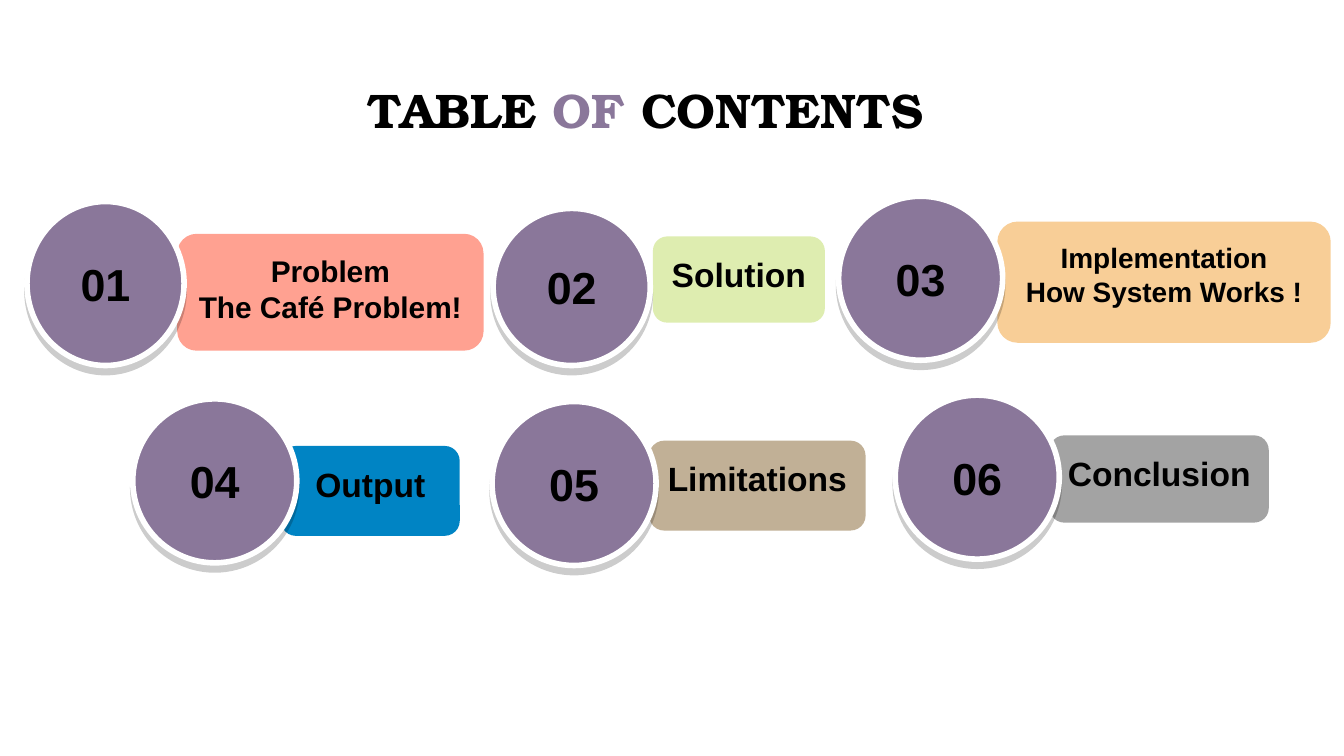
import lxml.etree
import pptx
import pptx.dml.color
import pptx.enum.shapes
import pptx.enum.text
import pptx.oxml.ns
import pptx.util

Cm, Pt = pptx.util.Cm, pptx.util.Pt
SHAPE = pptx.enum.shapes.MSO_SHAPE
ANCHOR = pptx.enum.text.MSO_ANCHOR
qn = pptx.oxml.ns.qn

BLACK, WHITE, PURPLE = "000000", "FFFFFF", "8A779A"
TITLE_FONT = {"name": "TeX Gyre Bonum", "size": Pt(26), "bold": True}
NUMBER_FONT = {"name": "Arial", "size": Pt(24), "bold": True}

# (left, top, width, height) of entry, disc width, label (offset, width, height),
# number, label lines, label size, label fill; lengths in cm
ENTRIES = [
    ((0.51, 3.81, 8.63, 3.1), 2.97, (0.61, 5.79, 2.21),
     "01", ["Problem", "The Café Problem!"], 16, "FFA191"),
    ((9.32, 3.94, 6.27, 2.97), 2.97, (0.53, 3.25, 1.63),
     "02", ["Solution"], 18, "DEEDB0"),
    ((15.85, 3.71, 9.3, 3.1), 3.1, (0.48, 6.3, 2.29),
     "03", ["Implementation", "How System Works !"], 15, "F8CE97"),
    ((2.51, 7.54, 6.18, 3.1), 3.1, (0.89, 3.38, 1.7),
     "04", ["Output"], 18, "0084C4"),
    ((9.3, 7.59, 7.06, 3.1), 3.1, (0.74, 4.09, 1.7),
     "05", ["Limitations"], 18, "C1B096"),
    ((16.92, 7.47, 7.06, 3.1), 3.1, (0.76, 4.14, 1.65),
     "06", ["Conclusion"], 18, "A3A3A3"),
]


def rgb(value):
    return pptx.dml.color.RGBColor.from_string(value)


def write(sp, lines, font, anchor):
    """Fill a shape with centred lines, each a list of (text, colour) runs."""
    tf = sp.text_frame
    frame = {"word_wrap": True, "vertical_anchor": anchor}
    for side in ("left", "top", "right", "bottom"):
        frame[f"margin_{side}"] = Cm(0.25)
    for key, value in frame.items():
        setattr(tf, key, value)
    for i, runs in enumerate(lines):
        p = tf.add_paragraph() if i else tf.paragraphs[0]
        p.alignment = pptx.enum.text.PP_ALIGN.CENTER
        for text, color in runs:
            r = p.add_run()
            r.text = text
            for key, value in font.items():
                setattr(r.font, key, value)
            r.font.color.rgb = rgb(color)


def add_filled(s, kind, box, fill):
    sp = s.shapes.add_shape(kind, *map(Cm, box))
    sp.fill.solid()
    sp.fill.fore_color.rgb = rgb(fill)
    sp.line.fill.background()
    sp.shadow.inherit = False
    return sp


def add_drop_shadow(sp):
    effects = sp._element.spPr.find(qn("a:effectLst"))
    shadow = lxml.etree.SubElement(effects, qn("a:outerShdw"), blurRad="0",
                                   dist=str(Pt(3.8)), dir="5400000",
                                   algn="bl", rotWithShape="0")
    color = lxml.etree.SubElement(shadow, qn("a:srgbClr"), val=BLACK)
    lxml.etree.SubElement(color, qn("a:alpha"), val="20000")


def add_title(s, box):
    sp = s.shapes.add_textbox(*map(Cm, box))
    runs = [("TABLE ", BLACK), ("OF", PURPLE), (" CONTENTS", BLACK)]
    write(sp, [runs], TITLE_FONT, ANCHOR.MIDDLE)


def add_entry(s, box, disc_width, label, number, lines, size, fill):
    left, top, width, height = box
    offset, label_width, label_height = label

    # Label, flush with the right edge of the box
    label_box = (left + width - label_width, top + offset, label_width, label_height)
    sp = add_filled(s, SHAPE.ROUNDED_RECTANGLE, label_box, fill)
    font = {"name": "Arial", "size": Pt(size), "bold": True}
    write(sp, [[(line, BLACK)] for line in lines], font, ANCHOR.TOP)

    # Numbered disc, flush with the left edge
    sp = add_filled(s, SHAPE.OVAL, (left, top, disc_width, height), PURPLE)
    sp.line.color.rgb = rgb(WHITE)
    sp.line.width = Pt(3)
    add_drop_shadow(sp)
    write(sp, [[(number, BLACK)]], NUMBER_FONT, ANCHOR.MIDDLE)


def main():
    prs = pptx.Presentation()
    prs.slide_width, prs.slide_height = Cm(25.4), Cm(14.29)
    s = prs.slides.add_slide(prs.slide_layouts[6])
    s.background.fill.solid()
    s.background.fill.fore_color.rgb = rgb(WHITE)
    add_title(s, (6.35, 1.55, 11.71, 1.02))
    for entry in ENTRIES:
        add_entry(s, *entry)
    prs.save("out.pptx")


if __name__ == "__main__":
    main()
